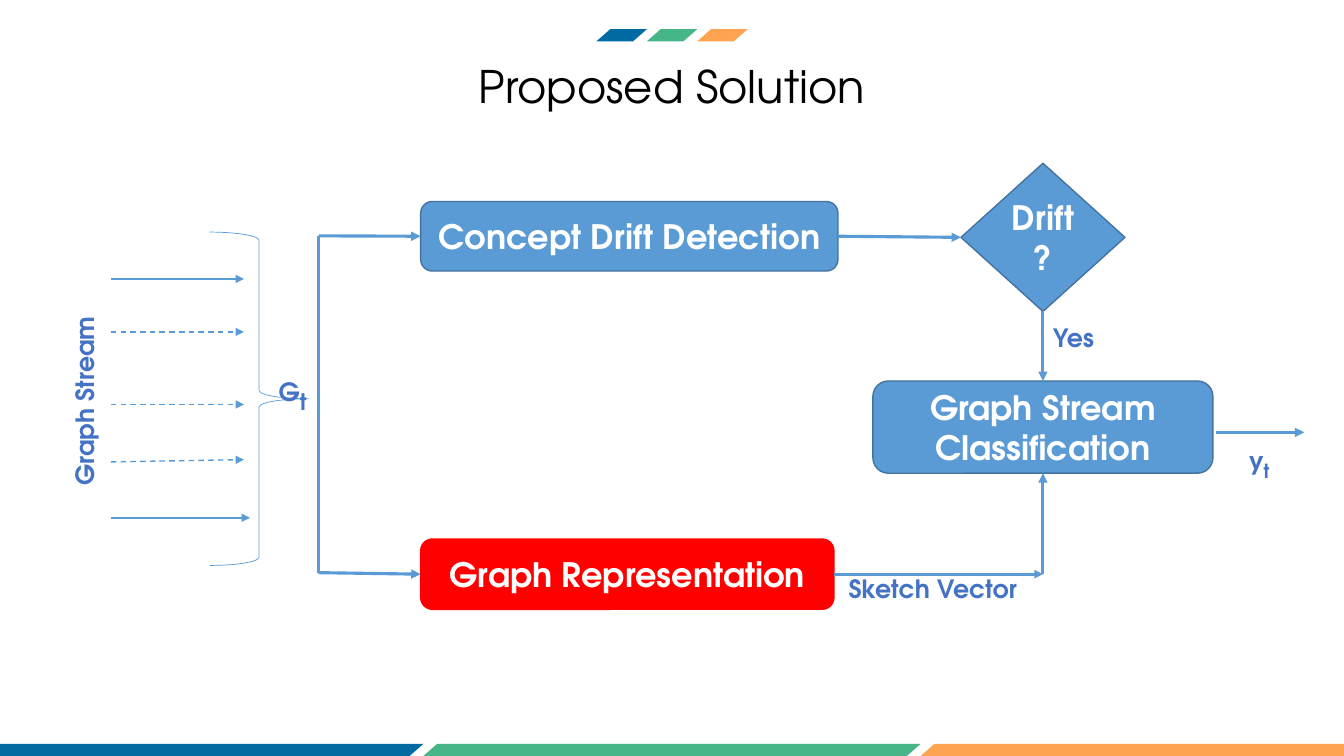
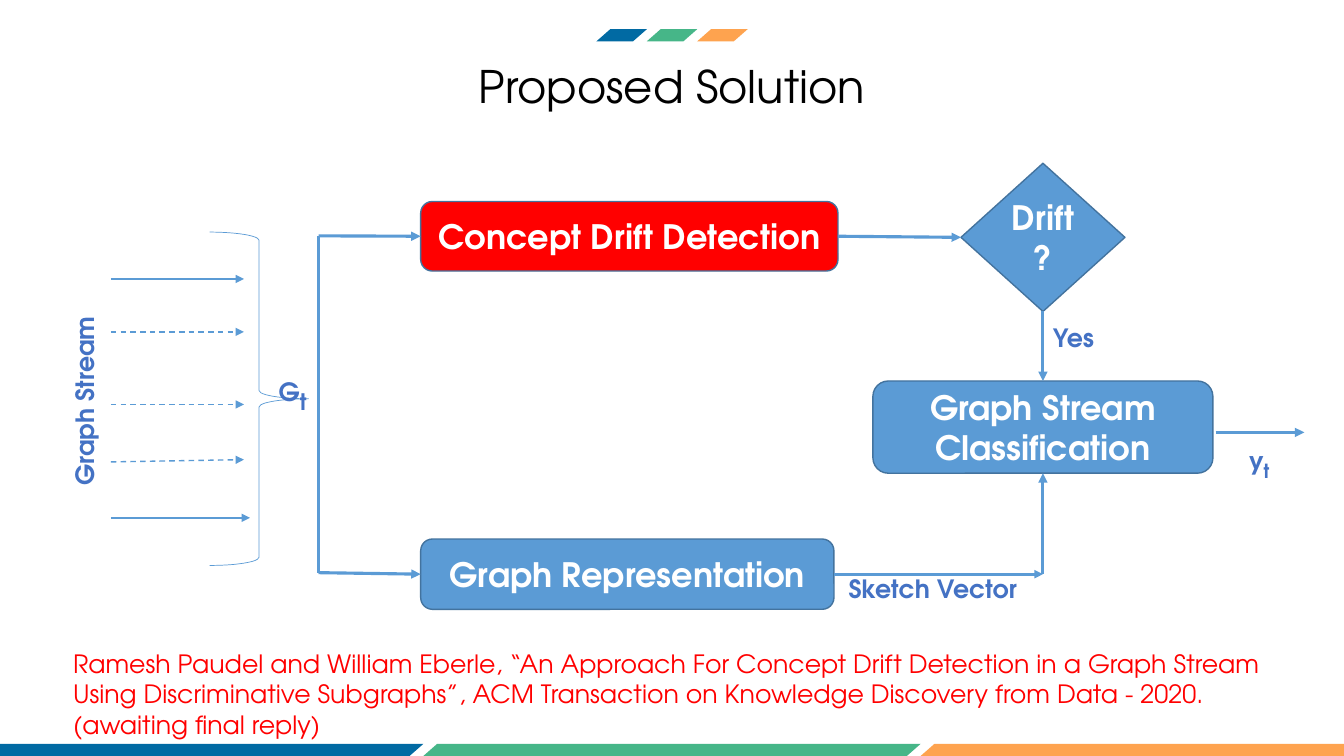
import pptx
import pptx.dml.color
import pptx.enum.dml
import pptx.enum.shapes
import pptx.enum.text
import pptx.oxml.ns
import pptx.util
import lxml.etree

FONT = "TeX Gyre Adventor"
BAND_COLOURS = ["016AA3", "46B688", "FEA34F"]
BLUE, EDGE, LABEL, RED = "5B9BD5", "43739E", "4472C4", "FF0000"
SHAPES = pptx.enum.shapes.MSO_SHAPE
CENTER = pptx.enum.text.PP_ALIGN.CENTER
LEFT = pptx.enum.text.PP_ALIGN.LEFT
MIDDLE = pptx.enum.text.MSO_ANCHOR.MIDDLE

presentation = pptx.Presentation()
presentation.slide_width = pptx.util.Inches(13.33)
presentation.slide_height = pptx.util.Inches(7.5)
column = presentation.slide_width / 100
row = presentation.slide_height / 100


def add_block(slide, geometry, left, top, width, height, fill=None, edge=None, weight=1):
    shape = slide.shapes.add_shape(
        geometry, int(left * column), int(top * row), int(width * column), int(height * row))
    shape.shadow.inherit = False
    for paint, colour in ((shape.fill, fill), (shape.line.fill, edge)):
        if colour:
            paint.solid()
            paint.fore_color.rgb = pptx.dml.color.RGBColor.from_string(colour)
        else:
            paint.background()
    if edge:
        shape.line.width = pptx.util.Pt(weight)
    return shape


def write(frame, paragraphs, size, colour, bold=False, align=LEFT):
    for number, runs in enumerate(paragraphs):
        paragraph = frame.add_paragraph() if number else frame.paragraphs[0]
        paragraph.alignment = align
        for text, subscript_size in runs:
            run = paragraph.add_run()
            run.text = text
            run.font.name = FONT
            run.font.size = pptx.util.Pt(subscript_size or size)
            run.font.bold = bold
            run.font.color.rgb = pptx.dml.color.RGBColor.from_string(colour)
            if subscript_size:
                run.font._element.set("baseline", "-25000")


boxes = [
    ("drift", SHAPES.FLOWCHART_DECISION, (71.5, 21.6, 12.2, 19.6), ["Drift ?"]),
    ("detection", SHAPES.ROUNDED_RECTANGLE, (31.3, 26.65, 31.05, 9.2), ["Concept Drift Detection"]),
    ("representation", SHAPES.ROUNDED_RECTANGLE, (31.3, 71.3, 30.75, 9.3), ["Graph Representation"]),
    ("classification", SHAPES.ROUNDED_RECTANGLE, (64.95, 50.4, 25.3, 12.2),
     ["Graph Stream", "Classification"]),
]

trunk_top, trunk_bottom = (23.7, 31.2), (23.7, 75.75)
corner = (77.6, 75.95)
links = [
    ((8.25, 36.9), (18.15, 36.9), 1, False, True),
    ((8.25, 43.9), (18.15, 43.9), 1, True, True),
    ((8.25, 53.5), (18.15, 53.5), 1, True, True),
    ((8.25, 61.1), (18.15, 60.8), 1, True, True),
    ((8.25, 68.5), (18.6, 68.5), 1, False, True),
    (trunk_top, trunk_bottom, 2.25, False, False),
    (trunk_top, ("detection", 1), 2.25, False, True),
    (trunk_bottom, ("representation", 1), 2.25, False, True),
    (("detection", 3), ("drift", 1), 2.25, False, True),
    (("drift", 2), ("classification", 0), 2.25, False, True),
    (("representation", 3), corner, 2, False, True),
    (corner, ("classification", 2), 2.25, False, True),
    ((90.45, 57.2), (97.05, 57.2), 2.25, False, True),
]

labels = [
    ((-1, 50, 14.5, 5.3), 270, [("Graph Stream", None)]),
    ((20, 47.2, 3.7, 5.6), 0, [("G", None), ("t", 28)]),
    ((62.4, 75.2, 14.4, 5.3), 0, [("Sketch Vector", None)]),
    ((77.6, 42, 4.7, 5.3), 0, [("Yes", None)]),
    ((92.2, 57.1, 3.2, 5.6), 0, [("y", None), ("t", 24)]),
]

citation = (
    "Ramesh Paudel and William Eberle, “An Approach For Concept Drift Detection in a Graph Stream "
    "Using Discriminative Subgraphs”, ACM Transaction on Knowledge Discovery from Data - 2020. "
    "(awaiting final reply)")

for highlighted, highlight_edge, reference in (
        ("representation", RED, None), ("detection", EDGE, citation)):
    slide = presentation.slides.add_slide(presentation.slide_layouts[6])

    for width, top in ((37, 98.4), (3.75, 3.87)):
        for number, colour in enumerate(BAND_COLOURS):
            band = add_block(slide, SHAPES.PARALLELOGRAM,
                             50 + (number - 1.5) * width, top, width, 1.6, colour)
            band.adjustments[0] = 1.14

    title = slide.shapes.add_textbox(
        int(28.4 * column), int(7.7 * row), int(43.2 * column), int(7.2 * row))
    frame = title.text_frame
    frame.word_wrap = True
    frame.vertical_anchor = MIDDLE
    frame.margin_left = frame.margin_right = frame.margin_top = frame.margin_bottom = 0
    write(frame, [[("Proposed Solution", None)]], 32, "000000", align=CENTER)

    placed = {}
    for name, geometry, area, lines in boxes:
        fill, edge = (RED, highlight_edge) if name == highlighted else (BLUE, EDGE)
        placed[name] = add_block(slide, geometry, *area, fill, edge)
        frame = placed[name].text_frame
        frame.word_wrap = True
        frame.vertical_anchor = MIDDLE
        frame.margin_left = frame.margin_right = int(0.4 * column)
        write(frame, [[(line, None)] for line in lines], 24, "FFFFFF", True, CENTER)

    add_block(slide, SHAPES.RIGHT_BRACE, 15.6, 30.7, 7.35, 44.1, edge=BLUE, weight=0.5)

    for start, end, weight, dashed, arrow in links:
        connector = slide.shapes.add_connector(
            pptx.enum.shapes.MSO_CONNECTOR.STRAIGHT, 0, 0, 0, 0)
        if start[0] in placed:
            connector.begin_connect(placed[start[0]], start[1])
        else:
            connector.begin_x, connector.begin_y = int(start[0] * column), int(start[1] * row)
        if end[0] in placed:
            connector.end_connect(placed[end[0]], end[1])
        else:
            connector.end_x, connector.end_y = int(end[0] * column), int(end[1] * row)
        connector.line.color.rgb = pptx.dml.color.RGBColor.from_string(BLUE)
        connector.line.width = pptx.util.Pt(weight)
        if dashed:
            connector.line.dash_style = pptx.enum.dml.MSO_LINE.DASH
        properties = connector._element.spPr
        if arrow:
            outline = properties.find(pptx.oxml.ns.qn("a:ln"))
            lxml.etree.SubElement(outline, pptx.oxml.ns.qn("a:tailEnd"), type="triangle")
        lxml.etree.SubElement(properties, pptx.oxml.ns.qn("a:effectLst"))

    for (left, top, width, height), rotation, runs in labels:
        label = slide.shapes.add_textbox(
            int(left * column), int(top * row), int(width * column), int(height * row))
        label.rotation = rotation
        label.text_frame.word_wrap = False
        label.text_frame.auto_size = pptx.enum.text.MSO_AUTO_SIZE.SHAPE_TO_FIT_TEXT
        write(label.text_frame, [runs], 18, LABEL, True)

    if reference:
        note = slide.shapes.add_textbox(
            int(4.7 * column), int(85.1 * row), int(94 * column), int(14 * row))
        note.text_frame.word_wrap = True
        write(note.text_frame, [[(reference, None)]], 18, RED)

presentation.save("out.pptx")
